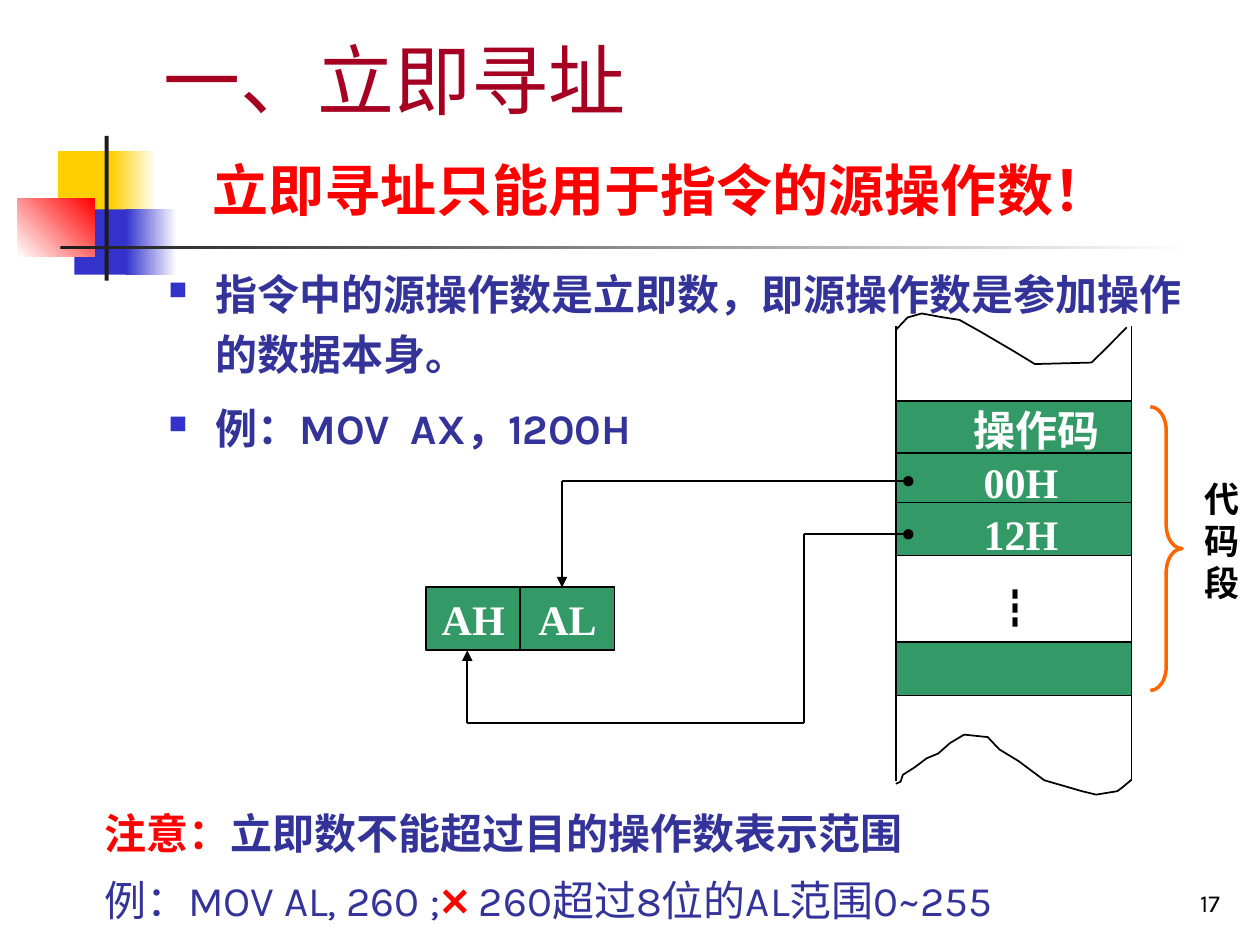
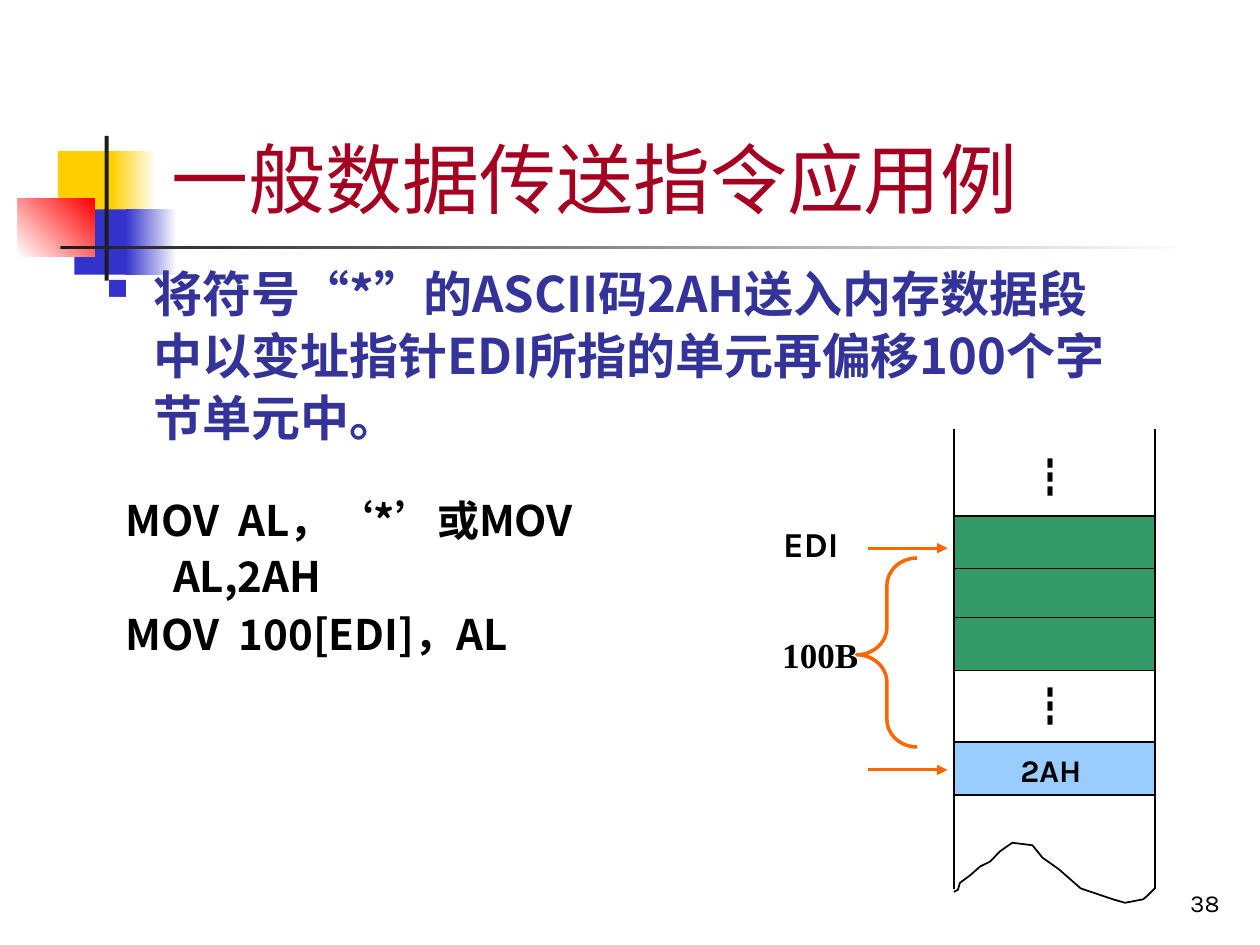
"""Build two slides on addressing modes and data transfer instructions."""
from itertools import pairwise

from lxml.etree import SubElement
from pptx import Presentation
from pptx.dml.color import RGBColor
from pptx.enum.shapes import MSO_CONNECTOR as Connector, MSO_SHAPE as Preset
from pptx.enum.text import MSO_ANCHOR as Anchor, PP_ALIGN as Align
from pptx.oxml.ns import qn
from pptx.util import Cm, Pt

COLORS = {
    "title": "A50021", "body": "333399", "alert": "FF0000", "text": "000000",
    "paper": "FFFFFF", "bullet": "3333CC", "gold": "FFCF01", "bar": "1C1C1C",
    "cell": "339966", "target": "99CCFF", "accent": "FF6600",
}
KARLA, TIMES, CJK = "Karla", "Times New Roman", "Noto Sans CJK SC"

STYLES = {
    "title": {"name": KARLA, "size": 44, "color": "title"},
    "number": {"name": KARLA, "size": 14, "color": "text"},
    "body": {"name": KARLA, "size": 24, "color": "body", "bold": True},
    "plain": {"name": KARLA, "size": 24, "color": "body"},
    "cross": {"name": KARLA, "size": 24, "color": "alert"},
    "alert": {"name": KARLA, "size": 24, "color": "alert", "bold": True},
    "rule": {"name": KARLA, "size": 32, "color": "alert", "bold": True},
    "task": {"name": CJK, "size": 28, "color": "body", "bold": True},
    "code": {"name": CJK, "size": 24, "color": "text", "bold": True},
    "dots": {"name": CJK, "size": 24, "color": "text"},
    "cell": {"name": TIMES, "size": 24, "color": "paper", "bold": True},
    "brace": {"name": TIMES, "size": 20, "color": "text", "bold": True},
    "pointer": {"name": KARLA, "size": 20, "color": "text", "bold": True},
    "value": {"name": KARLA, "size": 18, "color": "text", "bold": True},
}

BAND = [
    ((1.17, 3.05, 1.22, 1.32), ("gold",), 0),
    ((2.24, 3.05, 0.91, 1.32), ("gold", "paper"), 0),
    ((1.5, 4.22, 1.17, 1.32), ("bullet",), 0),
    ((2.54, 4.22, 1.02, 1.32), ("bullet", "paper"), 0),
    ((0.36, 4.01, 1.55, 1.17), ("paper", "alert"), 45),
    ((2.11, 2.74, 0.08, 2.92), ("bar",), 0),
    ((1.22, 4.95, 22.86, 0.08), ("bar", "paper"), 0),
]
NUMBER_BOX = (19.56, 17.35, 5.28, 1.27)

ROW_HEIGHT = 1.07
TOP_WAVE = [(0, 0.33), (0.05, 0.08), (0.11, 0), (0.19, 0.07), (0.27, 0.13), (0.36, 0.37),
            (0.5, 0.76), (0.59, 1.02), (0.83, 0.99), (0.88, 0.76), (0.98, 0.28)]
BOTTOM_WAVE = [(0, 0.99), (0.02, 0.95), (0.03, 0.81), (0.08, 0.66), (0.13, 0.48),
               (0.18, 0.38), (0.23, 0.17), (0.29, 0), (0.39, 0.05), (0.44, 0.3),
               (0.52, 0.53), (0.63, 0.92), (0.79, 1.14), (0.85, 1.21), (0.94, 1.14),
               (0.96, 1.07), (0.98, 0.99), (1, 0.91)]

IMMEDIATE = {
    "number": "17",
    "title": ("一、立即寻址", (3.05, 0.48, 21.64, 2.16)),
    "memory": {
        "left": 18.06, "width": 4.75, "top": 6.58, "bottom": 15.75,
        "rows": [(8.08, "cell"), (9.14, "cell"), (10.13, "cell"), (12.95, "cell")],
        "waves": [(TOP_WAVE, 6.32), (BOTTOM_WAVE, 14.81)],
    },
    "registers": (["AH", "AL"], (8.59, 11.84, 1.9, 1.27)),
    "routes": [
        [(18.31, 9.7), (11.33, 9.7), (11.33, 11.84)],
        [(18.31, 10.77), (16.21, 10.77), (16.21, 14.58), (9.42, 14.58), (9.42, 13.11)],
    ],
    "brace": (Preset.RIGHT_BRACE, (23.19, 8.2, 0.64, 5.72), (0.745, 0.5)),
    "labels": [
        ("操作码", "cell", (19.38, 8.03, 3.23, 1.27)),
        ("00H", "cell", (19.58, 9.07, 2.34, 1.27)),
        ("12H", "cell", (19.58, 10.13, 2.34, 1.27)),
        ("┇", "dots", (19.79, 11.61, 1.7, 1.27)),
        ("代码段", "brace", (24.03, 9.5, 1.27, 2.79)),
        ("立即寻址只能用于指令的源操作数！", "rule", (4.04, 3.02, 18.19, 1.63)),
    ],
    "texts": [
        ((3.15, 5.08, 21.59, 5.28), {"line": 1.2, "before": 6, "after": 1.5, "bullet": True},
         [[("指令中的源操作数是立即数，即源操作数是参加操作的数据本身。", "body")],
          [("例：MOV  AX，1200H", "body")]]),
        ((1.85, 15.95, 17.7, 1.35), {"line": 1.2},
         [[("注意：", "alert"), ("立即数不能超过目的操作数表示范围", "body")]]),
        ((1.85, 17.5, 20.75, 1.27), {},
         [[("例：MOV AL, 260 ;", "plain"), ("❌ ", "cross"),
           ("260超过8位的AL范围0~255", "plain")]]),
    ],
}

TRANSFER = {
    "number": "38",
    "title": ("一般数据传送指令应用例", (3.2, 0.58, 21.64, 4.06)),
    "memory": {
        "left": 19.23, "width": 4.06, "top": 8.65, "bottom": 17.93,
        "rows": [(10.41, "cell"), (11.46, "cell"), (12.45, "cell"), (14.96, "target")],
        "waves": [(BOTTOM_WAVE, 16.99)],
    },
    "pointers": [[(17.5, y), (19.1, y)] for y in (11.05, 15.52)],
    "brace": (Preset.LEFT_BRACE, (17.27, 11.25, 1.22, 3.81), (0.457, 0.512)),
    "labels": [
        ("100B", "brace", (15.52, 12.65, 2.11, 1.09)),
        ("EDI", "pointer", (15.54, 10.41, 2.06, 1.12)),
        ("┇", "dots", (20.5, 8.97, 1.7, 1.27)),
        ("┇", "dots", (20.5, 13.59, 1.7, 1.27)),
        ("2AH", "value", (20.32, 15.01, 2.59, 1.02)),
    ],
    "texts": [
        ((1.9, 5.13, 21.01, 13.44), {"line": 1.05, "bullet": True},
         [[("将符号“*”的ASCII码2AH送入内存数据段中以变址指针EDI所指的单元再偏移"
            "100个字节单元中。", "task")]]),
        ((2.29, 9.75, 12.5, 3), {"line": 1.1, "after": 1.5, "hanging": True},
         [[("MOV  AL，‘*’或MOV AL,2AH", "code")], [("MOV  100[EDI]，AL", "code")]]),
    ],
}


def rgb(name):
    return RGBColor.from_string(COLORS[name])


def add_run(paragraph, text, style):
    run = paragraph.add_run()
    run.text = text
    values = dict(STYLES[style])
    run.font.color.rgb = rgb(values.pop("color"))
    values["size"] = Pt(values["size"])
    for attribute, value in values.items():
        setattr(run.font, attribute, value)
    SubElement(run._r.get_or_add_rPr(), qn("a:ea"), typeface=CJK)


def indent(paragraph, bullet):
    properties = paragraph._p.get_or_add_pPr()
    properties.set("marL", str(Cm(0.95)))
    properties.set("indent", str(Cm(-0.95)))
    if bullet:
        color = SubElement(properties, qn("a:buClr"))
        SubElement(color, qn("a:srgbClr"), val=COLORS["bullet"])
        SubElement(properties, qn("a:buSzPct"), val="60000")
        SubElement(properties, qn("a:buChar"), char="■")


def add_text(slide, box, paragraphs, layout=None, anchor=Anchor.TOP, align=Align.LEFT):
    layout = layout or {}
    frame = slide.shapes.add_textbox(*map(Cm, box)).text_frame
    frame.word_wrap = True
    frame.vertical_anchor = anchor
    for index, runs in enumerate(paragraphs):
        paragraph = frame.add_paragraph() if index else frame.paragraphs[0]
        if layout.get("bullet") or layout.get("hanging"):
            indent(paragraph, layout.get("bullet"))
        spacing = {
            "alignment": align,
            "line_spacing": layout.get("line", 1.0),
            "space_before": Pt(layout.get("before", 0) if index else 0),
            "space_after": Pt(layout.get("after", 0)),
        }
        for attribute, value in spacing.items():
            setattr(paragraph, attribute, value)
        for text, style in runs:
            add_run(paragraph, text, style)


def outline(shape, color="text", width=1):
    shape.line.color.rgb = rgb(color)
    shape.line.width = Pt(width)


def add_rectangle(slide, box, color):
    shape = slide.shapes.add_shape(Preset.RECTANGLE, *map(Cm, box))
    shape.shadow.inherit = False
    shape.fill.solid()
    shape.fill.fore_color.rgb = rgb(color)
    outline(shape)
    return shape


def add_line(slide, start, end, color="text", width=1, head=None, tail=None):
    line = slide.shapes.add_connector(Connector.STRAIGHT, *map(Cm, (*start, *end)))
    outline(line, color, width)
    stroke = line.line._get_or_add_ln()
    for tag, kind in (("a:headEnd", head), ("a:tailEnd", tail)):
        if kind:
            SubElement(stroke, qn(tag), type=kind)
    SubElement(line._element.spPr, qn("a:effectLst"))


def add_route(slide, points):
    segments = list(pairwise(points))
    for index, (start, end) in enumerate(segments):
        add_line(slide, start, end, head=None if index else "oval",
                 tail="triangle" if index == len(segments) - 1 else None)


def add_brace(slide, preset, box, adjustments):
    brace = slide.shapes.add_shape(preset, *map(Cm, box))
    brace.shadow.inherit = False
    brace.fill.background()
    outline(brace, "accent", 2)
    for index, value in enumerate(adjustments):
        brace.adjustments[index] = value


def add_memory(slide, left, width, top, bottom, rows, waves):
    for row_top, color in rows:
        add_rectangle(slide, (left, row_top, width, ROW_HEIGHT), color)
    for x in (left, left + width):
        add_line(slide, (x, top), (x, bottom))
    for wave, wave_top in waves:
        points = [(Cm(left + width * x), Cm(wave_top + y)) for x, y in wave]
        builder = slide.shapes.build_freeform(*points[0])
        builder.add_line_segments(points[1:], close=False)
        edge = builder.convert_to_shape()
        edge.shadow.inherit = False
        edge.fill.background()
        outline(edge)


def add_registers(slide, names, first_box):
    left, top, width, height = first_box
    for index, name in enumerate(names):
        cell = add_rectangle(slide, (left + index * width, top, width, height), "cell")
        frame = cell.text_frame
        frame.vertical_anchor = Anchor.MIDDLE
        frame.margin_left = frame.margin_right = 0
        frame.paragraphs[0].alignment = Align.CENTER
        add_run(frame.paragraphs[0], name, "cell")


def add_band(slide):
    for box, colors, angle in BAND:
        shape = add_rectangle(slide, box, colors[0])
        shape.line.fill.background()
        if len(colors) > 1:
            shape.fill.gradient()
            shape.fill.gradient_angle = angle
            for stop, color in zip(shape.fill.gradient_stops, colors):
                stop.color.rgb = rgb(color)


def add_slide(presentation, content):
    slide = presentation.slides.add_slide(presentation.slide_layouts[6])
    add_band(slide)
    add_text(slide, NUMBER_BOX, [[(content["number"], "number")]],
             anchor=Anchor.BOTTOM, align=Align.RIGHT)
    title, title_box = content["title"]
    add_text(slide, title_box, [[(title, "title")]], anchor=Anchor.BOTTOM)
    for box, layout, paragraphs in content["texts"]:
        add_text(slide, box, paragraphs, layout)
    add_memory(slide, **content["memory"])
    if "registers" in content:
        add_registers(slide, *content["registers"])
    for points in content.get("routes", []):
        add_route(slide, points)
    for start, end in content.get("pointers", []):
        add_line(slide, start, end, "accent", 1.75, tail="triangle")
    add_brace(slide, *content["brace"])
    for text, style, box in content["labels"]:
        add_text(slide, box, [[(text, style)]])


def main():
    presentation = Presentation()
    presentation.slide_width, presentation.slide_height = Cm(25.4), Cm(19.05)
    for content in (IMMEDIATE, TRANSFER):
        add_slide(presentation, content)
    presentation.save("out.pptx")


if __name__ == "__main__":
    main()
